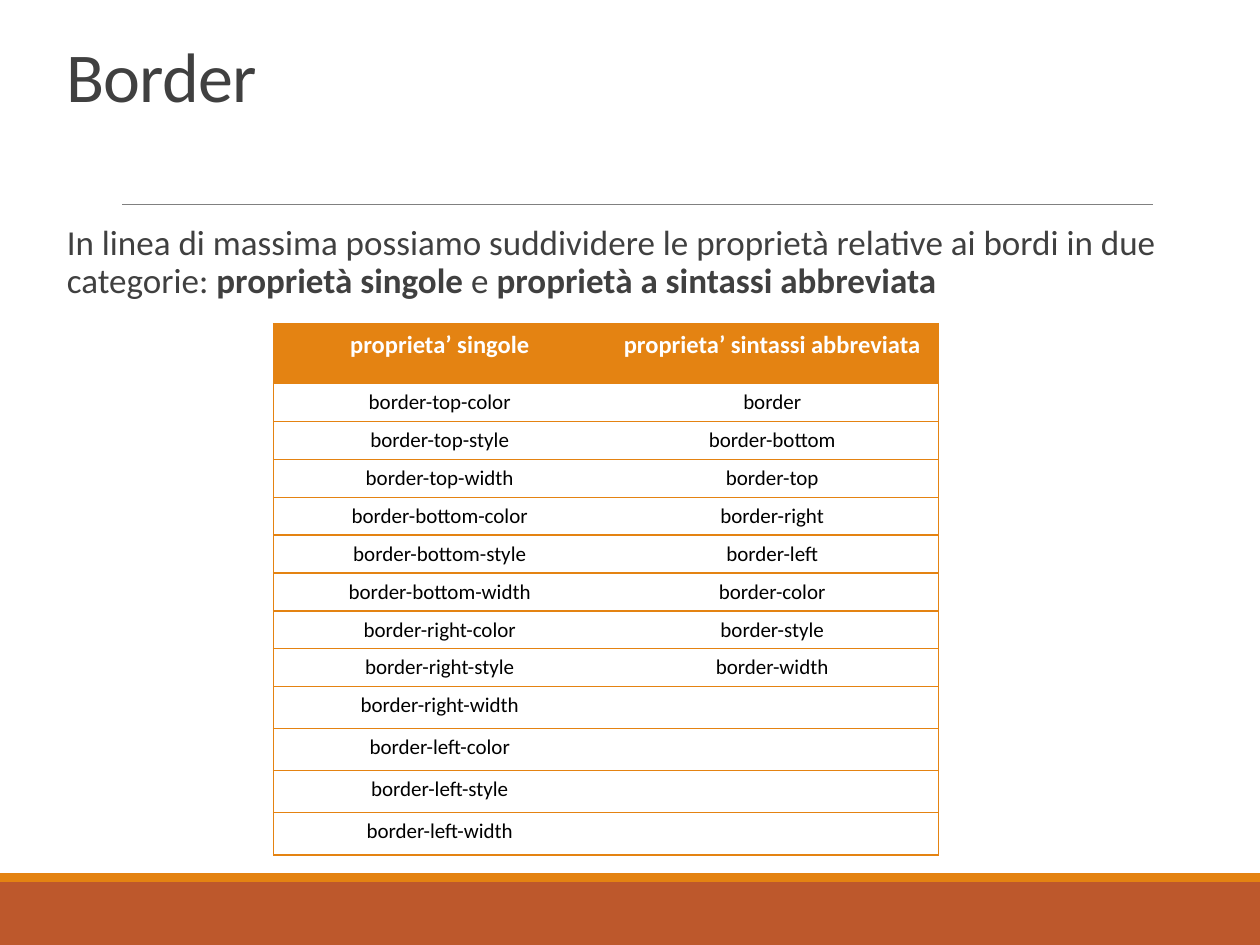
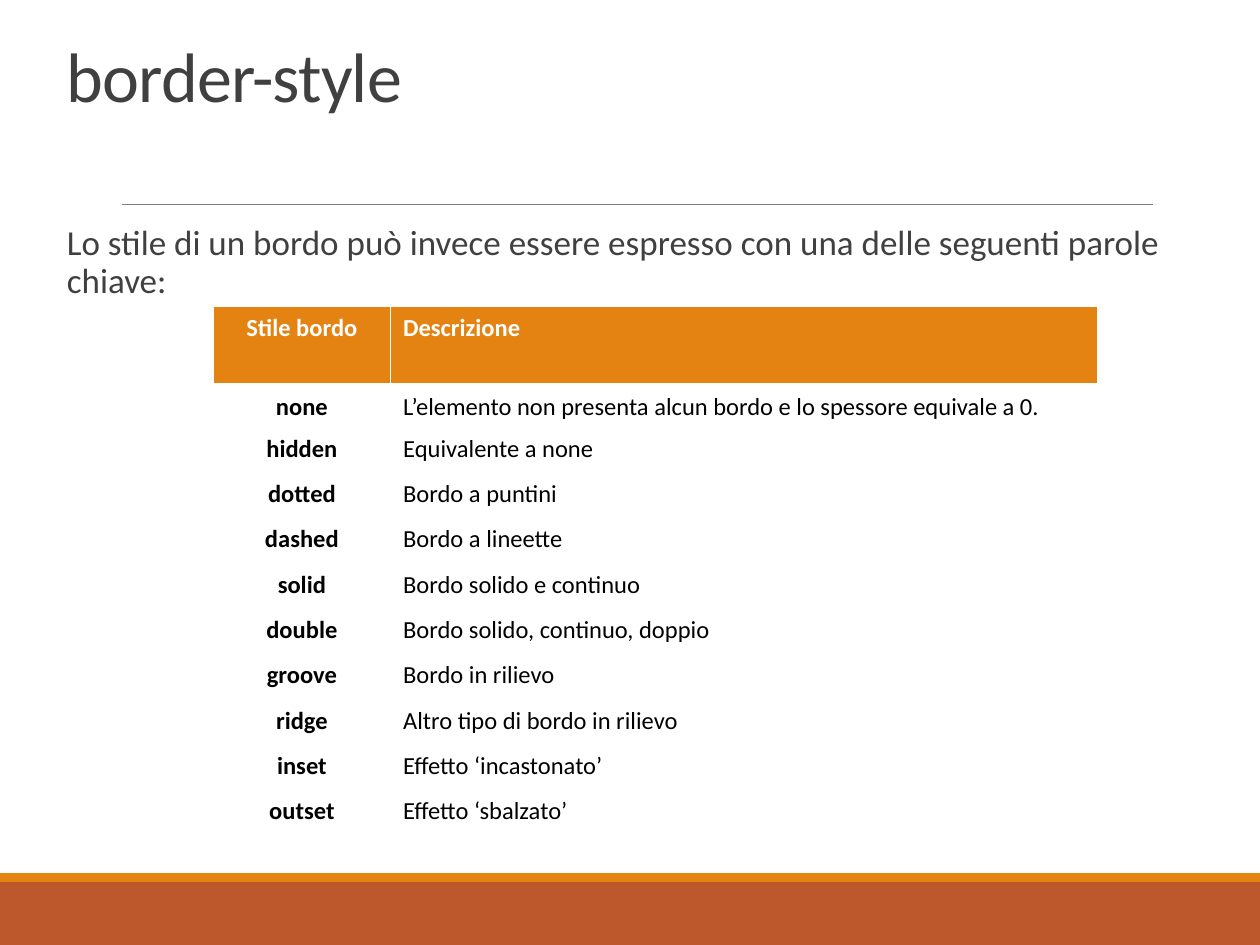
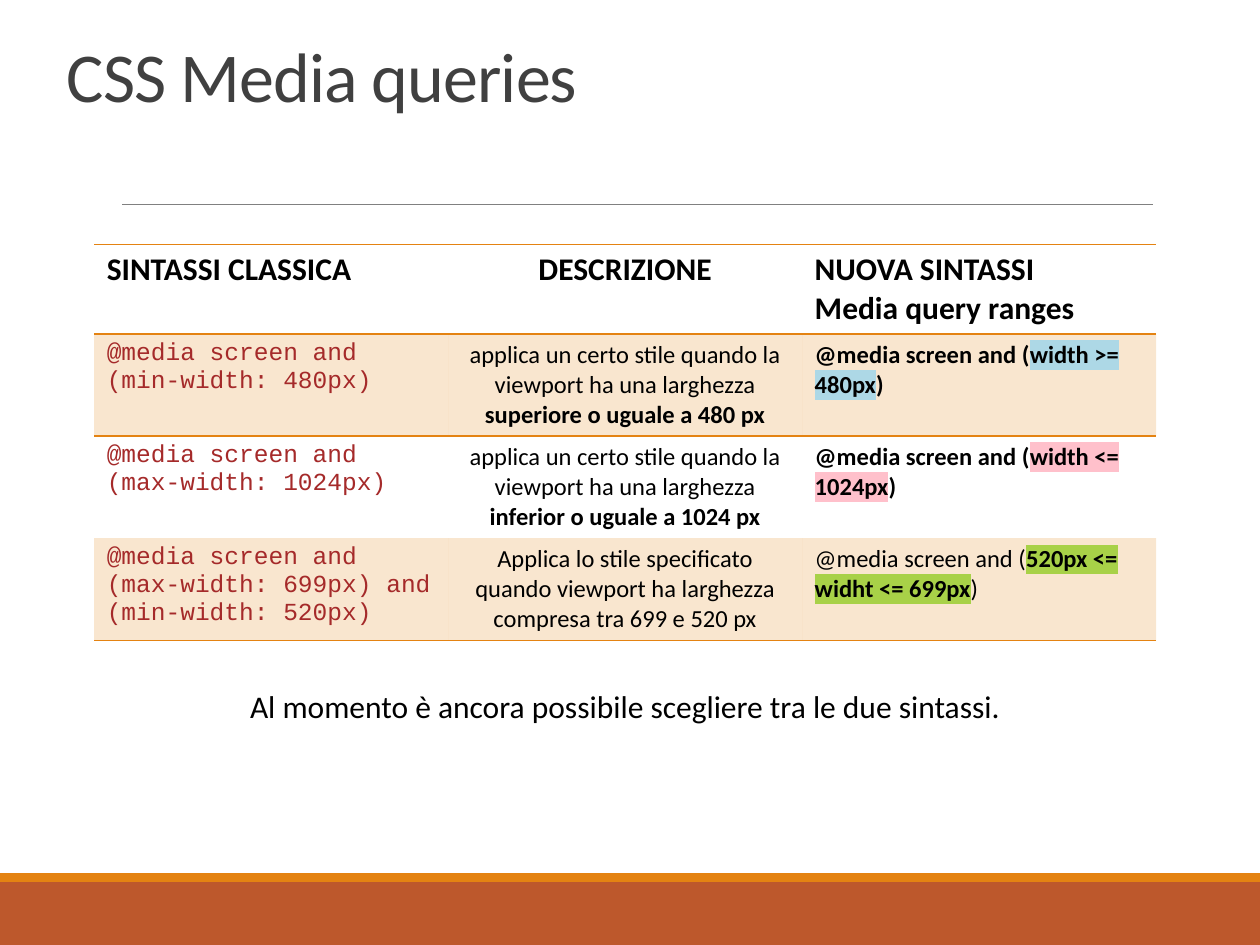
import dataclasses

import pptx
import pptx.dml.color
import pptx.enum.shapes
import pptx.enum.text
import pptx.oxml
import pptx.oxml.ns
import pptx.util
from lxml import etree

Pt = pptx.util.Pt
RGB = pptx.dml.color.RGBColor.from_string
qn = pptx.oxml.ns.qn
PP_ALIGN = pptx.enum.text.PP_ALIGN
CENTER, LEFT = PP_ALIGN.CENTER, PP_ALIGN.LEFT


@dataclasses.dataclass(frozen=True)
class Theme:
    font: str = "Calibri"
    code_font: str = "Courier New"
    orange: str = "E48312"
    rust: str = "BD582C"
    rule: str = "808080"
    heading: str = "404040"
    text: str = "000000"
    white: str = "FFFFFF"
    code: str = "A52A2A"
    blue_mark: str = "ADD8E6"
    pink_mark: str = "FFC0CB"
    green_mark: str = "A8D148"
    title_size: int = 40
    body_size: int = 20
    large_size: int = 18
    table_size: int = 14
    small_size: int = 12
    no_grid: str = "{2D5ABB26-0587-4C30-8999-92F81FD0307C}"


T = Theme()


def write(p, parts, size, color=T.text, bold=False, align=LEFT, font=T.font):
    p.text = ""
    p.alignment = align
    if not parts:
        etree.SubElement(p._p, qn("a:endParaRPr"), sz=str(size * 100))
        return
    if isinstance(parts, str):
        parts = [(parts, bold, None)]
    for text, strong, mark in parts:
        r = p.add_run()
        r.text = text
        r.font.size = Pt(size)
        r.font.bold = strong
        r.font.color.rgb = RGB(color)
        if mark:
            highlight = etree.SubElement(r._r.get_or_add_rPr(), qn("a:highlight"))
            etree.SubElement(highlight, qn("a:srgbClr"), val=mark)
        r.font.name = font


def style_cell(cell, fill=None, alpha=None, line=T.orange, **widths):
    tcPr = cell._tc.get_or_add_tcPr()
    for side in "LRTB":
        if side in widths:
            ln = etree.SubElement(tcPr, qn(f"a:ln{side}"), w=str(Pt(widths[side])))
            paint = etree.SubElement(ln, qn("a:solidFill"))
            etree.SubElement(paint, qn("a:srgbClr"), val=line)
    if fill is None:
        cell.fill.background()
        return
    cell.fill.solid()
    cell.fill.fore_color.rgb = RGB(fill)
    if alpha:
        clr = tcPr.find(qn("a:solidFill")).find(qn("a:srgbClr"))
        etree.SubElement(clr, qn("a:alpha"), val=str(alpha * 1000))


single = ["border-" + side + "-" + prop for side in ("top", "bottom", "right", "left")
          for prop in ("color", "style", "width")]
shorthand = ["border", "border-bottom", "border-top", "border-right", "border-left",
             "border-color", "border-style", "border-width"]
property_rows = [("proprieta’ singole", "proprieta’ sintassi abbreviata")]
property_rows += zip(single, shorthand + [""] * (len(single) - len(shorthand)))

style_rows = [
    ("Stile bordo", "Descrizione"),
    ("none", "L’elemento non presenta alcun bordo e lo spessore equivale a 0."),
    ("hidden", "Equivalente a none"),
    ("dotted", "Bordo a puntini"),
    ("dashed", "Bordo a lineette"),
    ("solid", "Bordo solido e continuo"),
    ("double", "Bordo solido, continuo, doppio"),
    ("groove", "Bordo in rilievo"),
    ("ridge", "Altro tipo di bordo in rilievo"),
    ("inset", "Effetto ‘incastonato’"),
    ("outset", "Effetto ‘sbalzato’"),
]

applies = ("applica un certo stile quando la viewport ha una larghezza ", False, None)
query_rows = [
    ("SINTASSI CLASSICA", "DESCRIZIONE", "NUOVA SINTASSI\nMedia query ranges"),
    ("@media screen and (min-width: 480px)",
     [applies, ("superiore o uguale a 480 px", True, None)],
     [("@media screen and (", True, None), ("width >= 480px", True, T.blue_mark),
      (")", True, None)]),
    ("@media screen and (max-width: 1024px)",
     [applies, ("inferior o uguale a 1024 px", True, None)],
     [("@media screen and (", True, None), ("width <= 1024px", True, T.pink_mark),
      (")", True, None)]),
    ("@media screen and (max-width: 699px) and (min-width: 520px)",
     "Applica lo stile specificato quando viewport ha larghezza compresa tra 699 e 520 px",
     [("@media screen and (", False, None), ("520px <= widht <= 699px", True, T.green_mark),
      (")", False, None)]),
]

pages = [
    ("Border",
     [("In linea di massima possiamo suddividere le proprietà relative ai bordi in due categorie: ",
       False, None),
      ("proprietà singole", True, None), (" e ", False, None),
      ("proprietà a sintassi abbreviata", True, None)],
     156.3, 185, [190, 190], [34.3] + [21] * 12),
    ("border-style",
     "Lo stile di un bordo può invece essere espresso con una delle seguenti parole chiave:",
     121.9, 175.2, [101.3, 403.9], [45.2, 22.4] + [25.9] * 9),
    ("CSS Media queries", None, 53.8, 139.7, [202.3] * 3, [51] + [58] * 3),
]

prs = pptx.Presentation()
prs.slide_width, prs.slide_height = Pt(720), Pt(540)
layout = prs.slide_layouts[5]
slides = [prs.slides.add_slide(layout) for _ in pages]

decor = []
for top, height, color in ((504, 36, T.rust), (499, 5, T.orange)):
    sp = slides[0].shapes.add_shape(pptx.enum.shapes.MSO_SHAPE.RECTANGLE,
                                    0, Pt(top), Pt(720), Pt(height))
    sp.shadow.inherit = False
    sp.fill.solid()
    sp.fill.fore_color.rgb = RGB(color)
    sp.line.fill.background()
    decor.append(sp)
rule = slides[0].shapes.add_connector(pptx.enum.shapes.MSO_CONNECTOR.STRAIGHT,
                                      Pt(69.8), Pt(116.8), Pt(658.8), Pt(116.8))
rule.line.color.rgb = RGB(T.rule)
rule.line.width = Pt(0.5)
etree.SubElement(rule.element.spPr, qn("a:effectLst"))
decor.append(rule)
for i, sp in enumerate(decor):
    sp.element.xpath(".//p:cNvPr")[0].set("id", str(20 + i))
    layout.shapes.element.insert(2 + i, sp.element)

tables = []
for s, (title, body, left, top, widths, heights) in zip(slides, pages):
    sp = s.shapes.title
    sp.left, sp.top, sp.width, sp.height = Pt(31), Pt(22.3), Pt(652.3), Pt(94.3)
    tf = sp.text_frame
    tf.word_wrap = True
    tf.auto_size = pptx.enum.text.MSO_AUTO_SIZE.NONE
    tf.vertical_anchor = pptx.enum.text.MSO_ANCHOR.TOP
    p = tf.paragraphs[0]
    write(p, title, T.title_size, T.heading)
    p.line_spacing = 0.85
    p.runs[0]._r.get_or_add_rPr().set("spc", "-50")

    if body:
        sp = s.shapes.add_textbox(Pt(31), Pt(125.3), Pt(652.3), Pt(355))
        tf = sp.text_frame
        tf.word_wrap = True
        tf.margin_left = tf.margin_right = 0
        p = tf.paragraphs[0]
        write(p, body, T.body_size, T.heading)
        p.line_spacing = 0.9
        p.space_after = Pt(2)
        p._p.get_or_add_pPr().set("marL", str(Pt(7.2)))

    frame = s.shapes.add_table(len(heights), len(widths), Pt(left), Pt(top),
                               Pt(sum(widths)), Pt(sum(heights)))
    frame.element.xpath(".//a:tableStyleId")[0].text = T.no_grid
    table = frame.table
    table.horz_banding = False
    for column, width in zip(table.columns, widths):
        column.width = Pt(width)
    for row, height in zip(table.rows, heights):
        row.height = Pt(height)
    tables.append(table)

property_table, style_table, query_table = tables

for i, row in enumerate(property_rows):
    for j, text in enumerate(row):
        cell = property_table.cell(i, j)
        header = i == 0
        size = T.small_size if text and not header else T.table_size
        write(cell.text_frame.paragraphs[0], text, size,
              T.white if header else T.text, header, CENTER)
        outer = {"L": 1} if j == 0 else {"R": 1}
        style_cell(cell, T.orange if header else None, T=1, B=1, **outer)

for i, row in enumerate(style_rows):
    for j, text in enumerate(row):
        cell = style_table.cell(i, j)
        header = i == 0
        write(cell.text_frame.paragraphs[0], text, T.table_size,
              T.white if header else T.text, header or j == 0, LEFT if j else CENTER)
        style_cell(cell, T.orange if header else None, line=T.white,
                   L=1, R=1, T=3 if i == 1 else 1, B=3 if header else 1)

for i, row in enumerate(query_rows):
    for j, content in enumerate(row):
        cell = query_table.cell(i, j)
        align = CENTER if j == 1 else LEFT
        if i == 0:
            cell.text_frame.text = content
            for p in cell.text_frame.paragraphs:
                write(p, p.text, T.large_size, bold=True, align=align)
            style_cell(cell, T=1, B=1)
            continue
        code = j == 0
        write(cell.text_frame.paragraphs[0], content, T.table_size,
              T.code if code else T.text, align=align,
              font=T.code_font if code else T.font)
        edges = {"T": 1} if i == 1 else {"B": 1} if i == 3 else {}
        style_cell(cell, T.orange if i % 2 else None, 20, **edges)

sp = slides[2].shapes.add_textbox(Pt(53.8), Pt(388.8), Pt(607), Pt(29))
sp.text_frame.word_wrap = True
write(sp.text_frame.paragraphs[0],
      "Al momento è ancora possibile scegliere tra le due sintassi.",
      T.large_size, align=CENTER)

prs.save("out.pptx")
